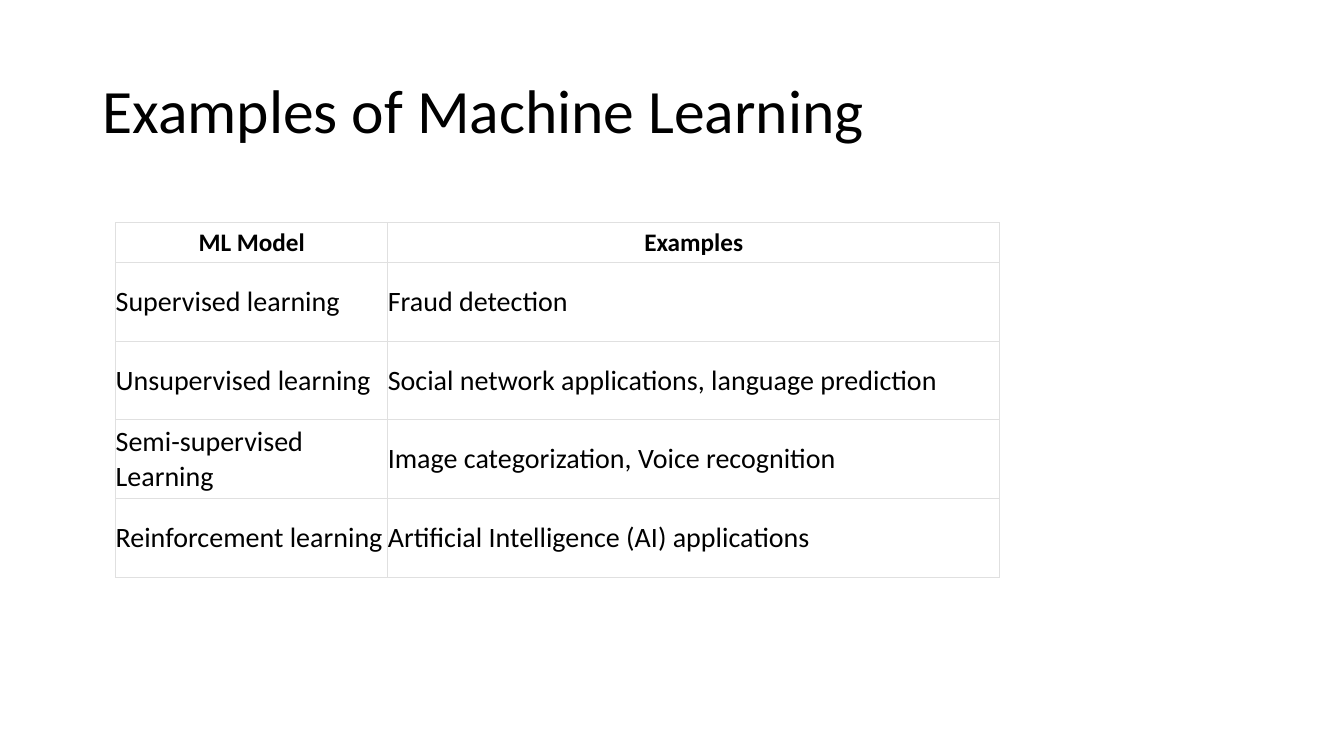
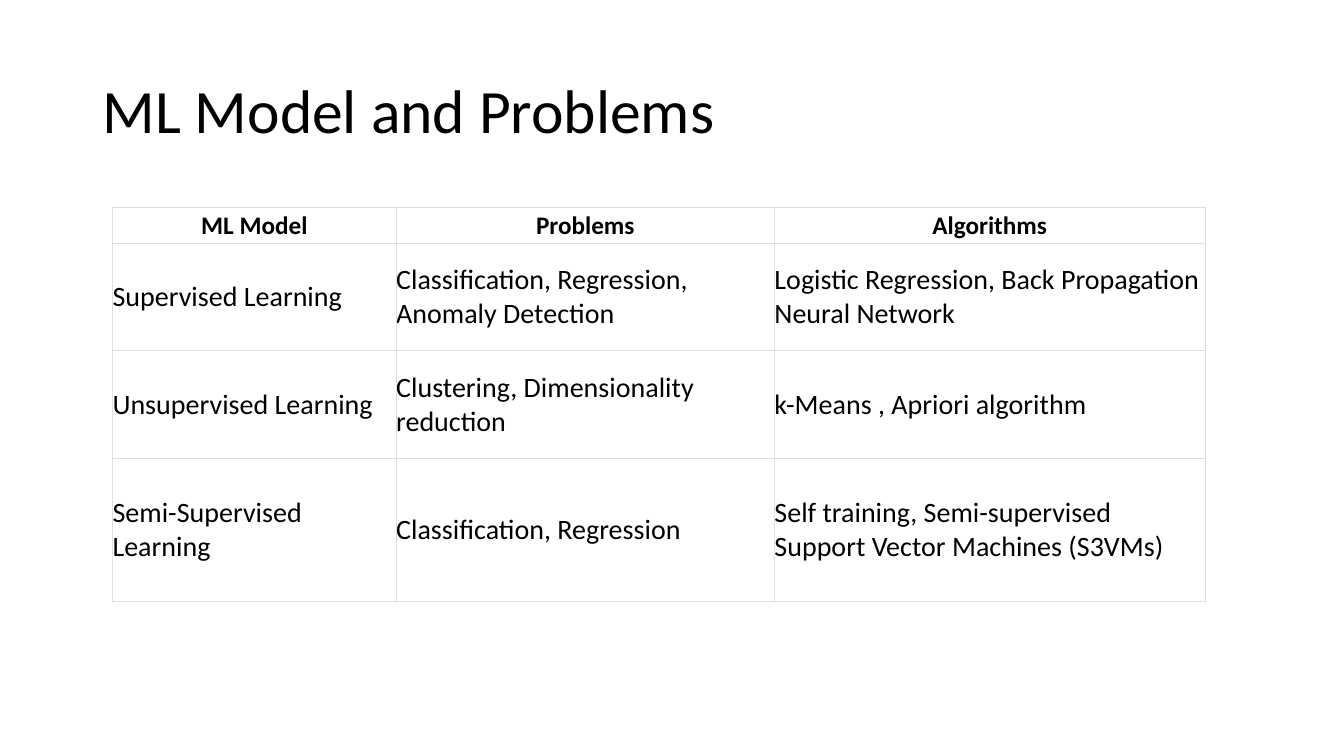
from lxml.etree import SubElement
from pptx import Presentation
from pptx.dml.color import RGBColor
from pptx.enum.text import MSO_ANCHOR, PP_ALIGN
from pptx.oxml.ns import qn
from pptx.util import Pt

COLORS = {"text": "000000", "cell": "FFFFFF", "border": "E0E0E0"}
FONT = "Calibri"
TITLE_ONLY = 5

EXAMPLES = [
    ("ML Model", "Examples"),
    ("Supervised learning", "Fraud detection"),
    ("Unsupervised learning", "Social network applications, language prediction"),
    ("Semi-supervised Learning", "Image categorization, Voice recognition"),
    ("Reinforcement learning", "Artificial Intelligence (AI) applications"),
]
PROBLEMS = [
    ("ML Model", "Problems", "Algorithms"),
    ("Supervised Learning", "Classification, Regression, Anomaly Detection",
     "Logistic Regression, Back Propagation Neural Network"),
    ("Unsupervised Learning", "Clustering, Dimensionality reduction",
     "k-Means , Apriori algorithm"),
    ("Semi-Supervised Learning", "Classification, Regression",
     "Self training, Semi-supervised Support Vector Machines (S3VMs)"),
]


def write_text(frame, text, size=20, bold=False, align=PP_ALIGN.LEFT, spacing=1.0):
    """Put one formatted paragraph into a text frame."""
    paragraph = frame.paragraphs[0]
    paragraph.alignment = align
    paragraph.line_spacing = spacing
    run = paragraph.add_run()
    run.text = text
    run.font.name = FONT
    run.font.size = Pt(size)
    run.font.bold = bold
    run.font.color.rgb = RGBColor.from_string(COLORS["text"])


def add_titled_slide(deck, heading):
    """Add a title-only slide with the shared title style."""
    slide = deck.slides.add_slide(deck.slide_layouts[TITLE_ONLY])
    title = slide.shapes.title
    title.left, title.top, title.width, title.height = Pt(66), Pt(28.8), Pt(828), Pt(104.4)
    title.text_frame.word_wrap = True
    title.text_frame.vertical_anchor = MSO_ANCHOR.MIDDLE
    write_text(title.text_frame, heading, size=44, spacing=0.9)
    return slide


def draw_borders(cell, width=0.75):
    """Outline the four sides of a cell."""
    properties = cell._tc.get_or_add_tcPr()
    for position, side in enumerate(("a:lnL", "a:lnR", "a:lnT", "a:lnB")):
        border = SubElement(properties, qn(side), w=str(Pt(width)))
        fill = SubElement(border, qn("a:solidFill"))
        SubElement(fill, qn("a:srgbClr"), val=COLORS["border"])
        properties.insert(position, border)


def fill_cell(cell, text, is_header):
    """Format one cell and write its text."""
    cell.margin_left = cell.margin_right = cell.margin_top = cell.margin_bottom = 0
    cell.vertical_anchor = MSO_ANCHOR.MIDDLE
    cell.fill.solid()
    cell.fill.fore_color.rgb = RGBColor.from_string(COLORS["cell"])
    draw_borders(cell)
    if is_header:
        write_text(cell.text_frame, text, size=18, bold=True, align=PP_ALIGN.CENTER)
    else:
        write_text(cell.text_frame, text)


def add_grid(slide, content, left, top, widths, heights):
    """Add a bordered table with a bold header row."""
    grid = slide.shapes.add_table(
        len(heights), len(widths), Pt(left), Pt(top), Pt(sum(widths)), Pt(sum(heights))
    ).table
    grid.first_row = grid.horz_banding = False
    for column, width in zip(grid.columns, widths):
        column.width = Pt(width)
    for row, height, texts in zip(grid.rows, heights, content):
        row.height = Pt(height)
        for cell, text in zip(row.cells, texts):
            fill_cell(cell, text, is_header=texts is content[0])


def main():
    """Build both slides and save the deck."""
    deck = Presentation()
    deck.slide_width, deck.slide_height = Pt(960), Pt(540)

    examples = add_titled_slide(deck, "Examples of Machine Learning")
    add_grid(examples, EXAMPLES, left=82.6, top=159,
             widths=[194.4, 437], heights=[28.4] + [56.3] * 4)

    problems = add_titled_slide(deck, "ML Model and Problems")
    add_grid(problems, PROBLEMS, left=80.4, top=148.2,
             widths=[202.6, 270.2, 307.6], heights=[25.6 * lines for lines in (1, 3, 3, 4)])

    deck.save("out.pptx")


if __name__ == "__main__":
    main()
